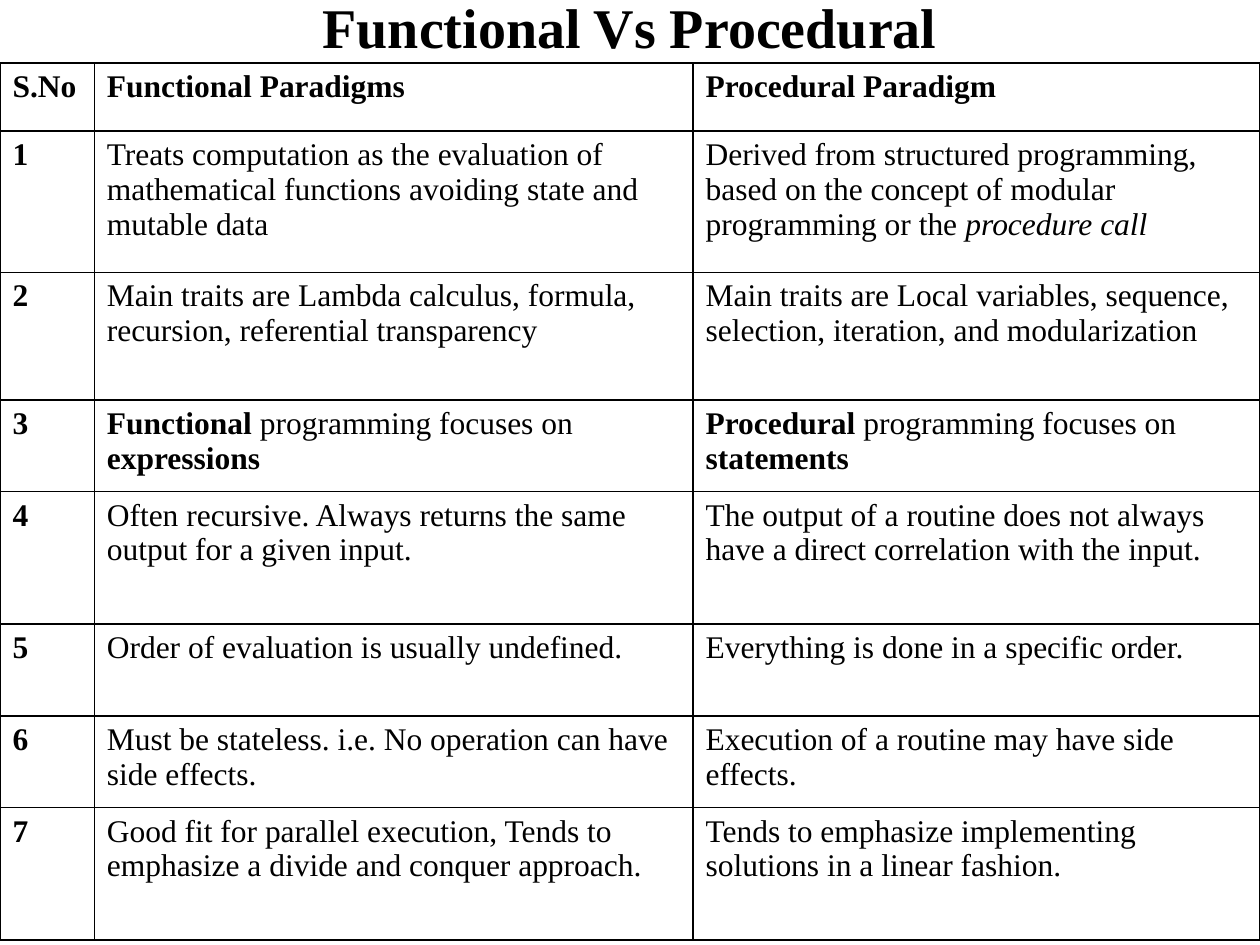
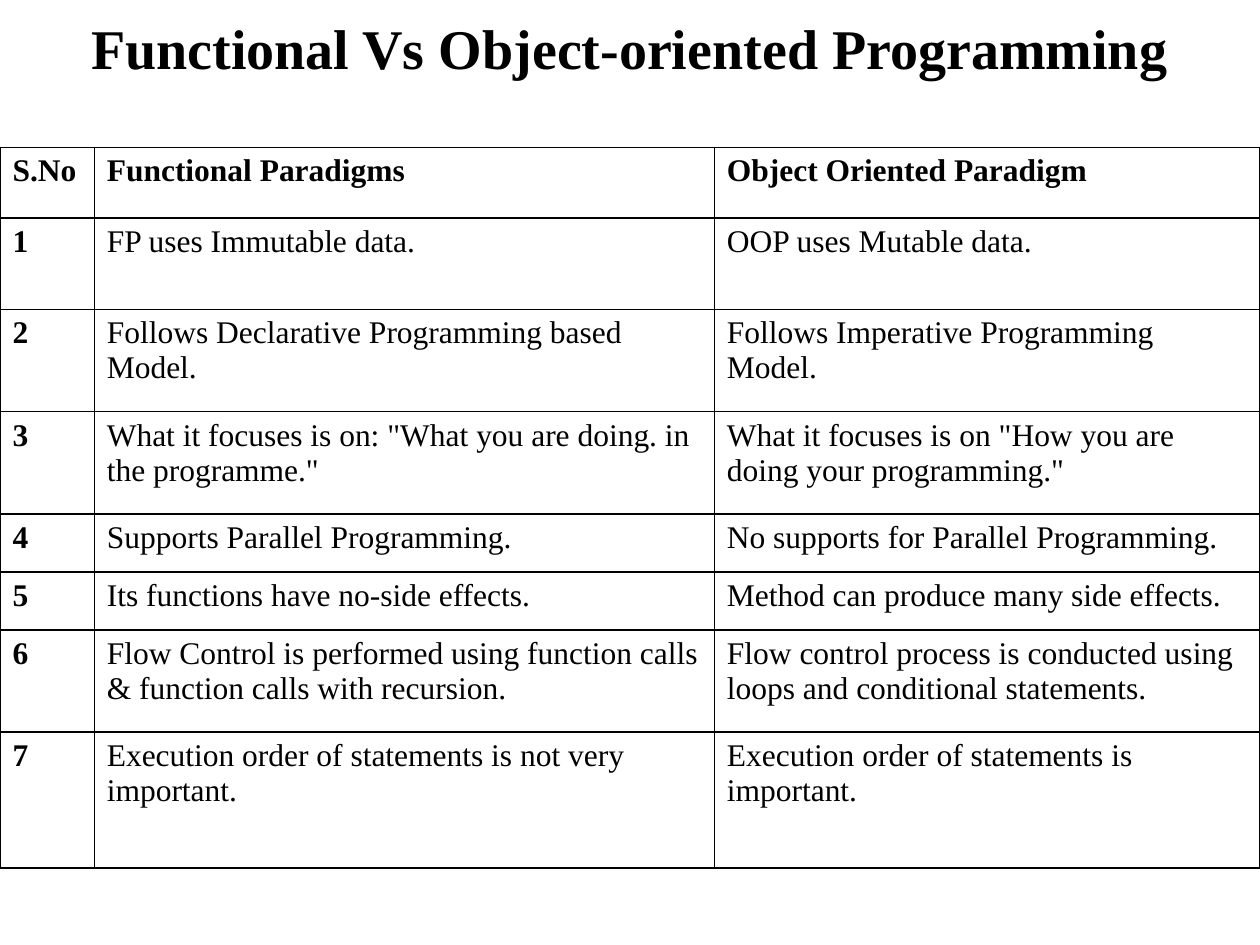
"""Build two slides that compare functional programming with other paradigms."""
from pptx import Presentation
from pptx.dml.color import RGBColor
from pptx.enum.text import MSO_ANCHOR, PP_ALIGN
from pptx.oxml.ns import qn
from pptx.util import Cm, Pt
from lxml import etree

CENTER = PP_ALIGN.CENTER
LEFT = PP_ALIGN.LEFT
MIDDLE = MSO_ANCHOR.MIDDLE

COLORS = {"ink": "000000", "paper": "FFFFFF"}
FONT = "Times New Roman"
TITLE_SIZE = 32
BODY_SIZE = 18
BORDER_WIDTH = 1
SLIDE_WIDTH, SLIDE_HEIGHT = 25.4, 19.05
TITLE_MARGIN = 1.27
BORDER_SIDES = ("a:lnL", "a:lnR", "a:lnT", "a:lnB")

PROCEDURAL_ROWS = [
    ("Functional Paradigms", "Procedural Paradigm"),
    ("Treats computation as the evaluation of mathematical functions avoiding state and mutable data",
     [("Derived from structured programming, based on the concept of modular programming or the ", {}),
      ("procedure call", {"italic": True})]),
    ("Main traits are Lambda calculus, formula, recursion, referential transparency",
     "Main traits are Local variables, sequence, selection, iteration, and modularization"),
    ([("Functional", {"bold": True}), (" programming focuses on ", {}), ("expressions", {"bold": True})],
     [("Procedural", {"bold": True}), (" programming focuses on ", {}), ("statements", {"bold": True})]),
    ("Often recursive. Always returns the same output for a given input.",
     "The output of a routine does not always have a direct correlation with the input."),
    ("Order of evaluation is usually undefined.",
     "Everything is done in a specific order."),
    ("Must be stateless. i.e. No operation can have side effects.",
     "Execution of a routine may have side effects."),
    ("Good fit for parallel execution, Tends to emphasize a divide and conquer approach.",
     "Tends to emphasize implementing solutions in a linear fashion."),
]

OBJECT_ORIENTED_ROWS = [
    ("Functional Paradigms", "Object Oriented Paradigm"),
    ("FP uses Immutable data.", "OOP uses Mutable data."),
    ("Follows Declarative Programming based Model.",
     "Follows Imperative Programming Model."),
    ('What it focuses is on: "What you are doing. in the programme."',
     'What it focuses is on "How you are doing your programming."'),
    ("Supports Parallel Programming.", "No supports for Parallel Programming."),
    ("Its functions have no-side effects.", "Method can produce many side effects."),
    ("Flow Control is performed using function calls & function calls with recursion.",
     "Flow control process is conducted using loops and conditional statements."),
    ("Execution order of statements is not very important.",
     "Execution order of statements is important."),
]


def write_text(frame, content, size=BODY_SIZE, bold=False, align=LEFT):
    """Write a string, or a list of (text, style) spans, into a text frame."""
    spans = [(content, {})] if isinstance(content, str) else content
    para = frame.paragraphs[0]
    para.alignment = align
    for text, style in spans:
        span = para.add_run()
        span.text = text
        span.font.name = FONT
        span.font.size = Pt(size)
        span.font.bold = style.get("bold", bold)
        span.font.italic = style.get("italic", False)
        span.font.color.rgb = RGBColor.from_string(COLORS["ink"])


def add_title(page, text, height):
    """Add the centred bold title at the top of the page."""
    box = page.shapes.add_textbox(Cm(TITLE_MARGIN), 0, Cm(SLIDE_WIDTH - 2 * TITLE_MARGIN), Cm(height))
    box.text_frame.word_wrap = True
    box.text_frame.vertical_anchor = MIDDLE
    write_text(box.text_frame, text, size=TITLE_SIZE, bold=True, align=CENTER)


def add_borders(cell):
    """Draw a solid line on all four sides of a cell."""
    properties = cell._tc.get_or_add_tcPr()
    for position, side in enumerate(BORDER_SIDES):
        line = etree.Element(qn(side), w=str(Pt(BORDER_WIDTH)))
        fill = etree.SubElement(line, qn("a:solidFill"))
        etree.SubElement(fill, qn("a:srgbClr"), val=COLORS["ink"])
        properties.insert(position, line)


def add_comparison(page, rows, top, widths, heights):
    """Add a numbered comparison table across the full page width."""
    frame = page.shapes.add_table(len(rows), len(widths), 0, Cm(top), Cm(sum(widths)), Cm(sum(heights)))
    table = frame.table
    table.first_row = False
    table.horz_banding = False
    for column, width in zip(table.columns, widths):
        column.width = Cm(width)
    for number, (pair, height) in enumerate(zip(rows, heights)):
        table.rows[number].height = Cm(height)
        label = str(number) if number else "S.No"
        for index, content in enumerate((label, *pair)):
            cell = table.cell(number, index)
            cell.fill.solid()
            cell.fill.fore_color.rgb = RGBColor.from_string(COLORS["paper"])
            add_borders(cell)
            write_text(cell.text_frame, content, bold=number == 0 or index == 0)


def main():
    """Build and save the deck."""
    deck = Presentation()
    deck.slide_width, deck.slide_height = Cm(SLIDE_WIDTH), Cm(SLIDE_HEIGHT)
    blank = deck.slide_layouts[6]

    page = deck.slides.add_slide(blank)
    add_title(page, "Functional Vs Procedural", height=1.07)
    add_comparison(page, PROCEDURAL_ROWS, top=1.27, widths=(1.9, 12.07, 11.43),
                   heights=(1.37, 2.85, 2.57, 1.85, 2.67, 1.85, 1.85, 2.67))

    page = deck.slides.add_slide(blank)
    add_title(page, "Functional Vs Object-oriented Programming", height=1.9)
    add_comparison(page, OBJECT_ORIENTED_ROWS, top=2.97, widths=(1.9, 12.5, 11),
                   heights=(1.42, 1.85, 2.06, 2.06, 1.17, 1.17, 2.06, 2.74))

    deck.save("out.pptx")


if __name__ == "__main__":
    main()
